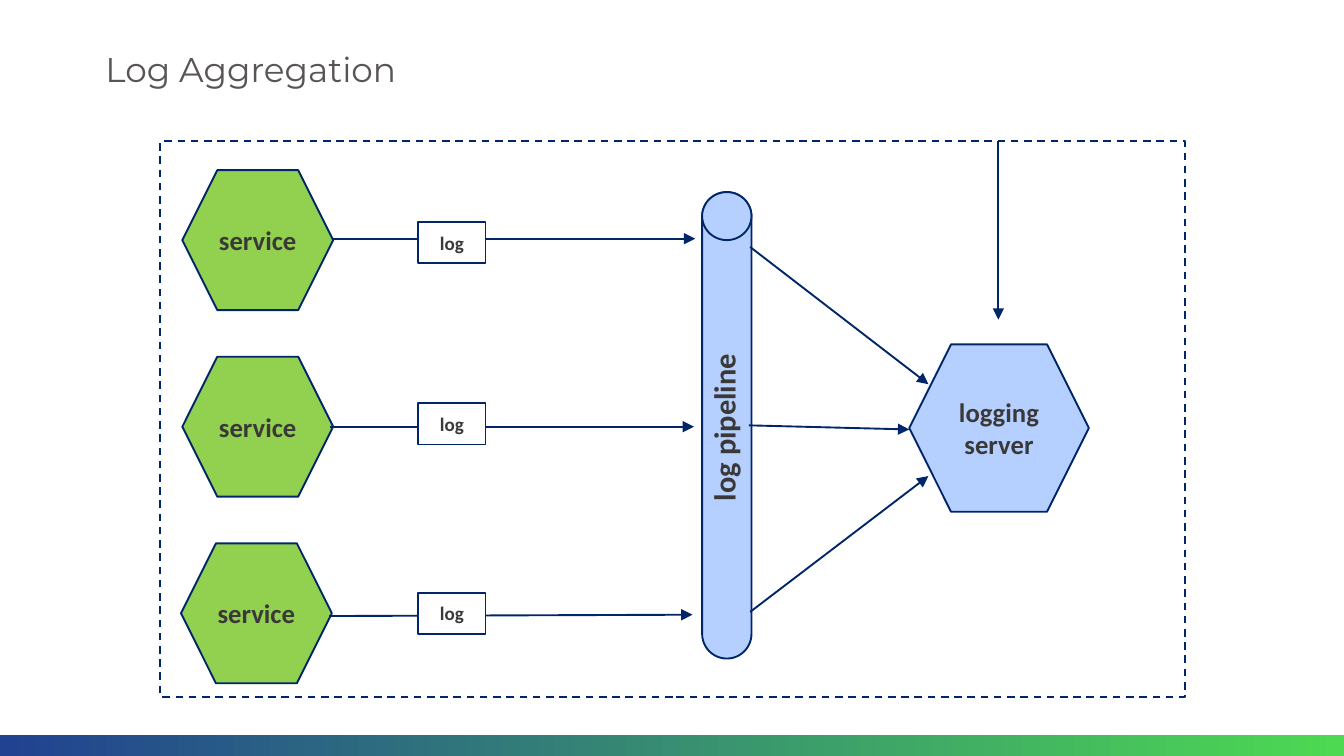
from lxml import etree
from pptx import Presentation
from pptx.dml.color import RGBColor
from pptx.enum.dml import MSO_LINE
from pptx.enum.shapes import MSO_CONNECTOR, MSO_SHAPE
from pptx.enum.text import MSO_ANCHOR, PP_ALIGN
from pptx.oxml.ns import qn
from pptx.util import Inches, Pt

RECTANGLE, HEXAGON = MSO_SHAPE.RECTANGLE, MSO_SHAPE.HEXAGON
ROUNDED, OVAL = MSO_SHAPE.ROUNDED_RECTANGLE, MSO_SHAPE.OVAL
STRAIGHT, DASH = MSO_CONNECTOR.STRAIGHT, MSO_LINE.DASH
LEFT, CENTER, MIDDLE = PP_ALIGN.LEFT, PP_ALIGN.CENTER, MSO_ANCHOR.MIDDLE

# Content: colours in hex, lengths in inches
NAVY, BLUE, GREEN, WHITE = "002669", "B5D0FF", "92D050", "FFFFFF"
TITLE_GREY, TEXT_GREY = "595555", "3B3838"
BAR_START, BAR_END = "214291", "4DD952"

TITLE = "Log Aggregation"
SERVER_LINES = ["logging", "server"]
SERVICE_SIZE, LOG_SIZE = (1.1, 1.02), (0.49, 0.3)
SERVICE_TOP, SERVICE_STEP = 1.24, 1.36
LOG_LEFT, ARROW_LENGTH = 3.05, 2.65
# One row per service: hexagon left, log box top, arrow start, arrow rise
ROWS = [
    ("service", "log", 1.33, 1.62, (2.42, 1.74), 0),
    ("service", "log", 1.33, 2.94, (2.41, 3.11), 0),
    ("service", "log", 1.32, 4.32, (2.4, 4.49), 0.01),
]
BOUNDARY = (1.17, 1.03, 7.47, 4.05)
SERVER = (6.63, 2.51, 1.31, 1.22)
PIPELINE = (5.12, 1.4, 0.36, 3.4)
SERVER_ARROWS = [
    ((5.47, 1.8), (6.77, 2.8)),
    ((5.46, 3.1), (6.63, 3.13)),
    ((5.47, 4.46), (6.77, 3.47)),
    ((7.28, BOUNDARY[1]), (7.28, 2.33)),
]

presentation = Presentation()
presentation.slide_width, presentation.slide_height = Inches(9.8), Inches(5.51)
slide = presentation.slides.add_slide(presentation.slide_layouts[6])


def color(value):
    return RGBColor.from_string(value)


def write(shape, *lines, size=14, font="Calibri", fill=TEXT_GREY, bold=True,
          align=CENTER, inset=0, wrap=False):
    frame = shape.text_frame
    frame.word_wrap = wrap
    frame.vertical_anchor = MIDDLE
    frame.margin_left = frame.margin_right = Inches(inset)
    frame.margin_top = frame.margin_bottom = 0
    for index, line in enumerate(lines):
        paragraph = frame.add_paragraph() if index else frame.paragraphs[0]
        paragraph.alignment = align
        run = paragraph.add_run()
        run.text = line
        run.font.name, run.font.size, run.font.bold = font, Pt(size), bold
        run.font.color.rgb = color(fill)


def add_box(kind, box, fill, dash=None):
    shape = slide.shapes.add_shape(kind, *map(Inches, box))
    shape.shadow.inherit = False
    shape.fill.solid()
    shape.fill.fore_color.rgb = color(fill)
    shape.line.color.rgb = color(NAVY)
    shape.line.width = Pt(1)
    if dash:
        shape.line.dash_style = dash
    return shape


def add_text(box, text, rotation=0, **style):
    shape = slide.shapes.add_textbox(*map(Inches, box))
    shape.rotation = rotation
    write(shape, text, **style)


def add_arrow(start, end):
    arrow = slide.shapes.add_connector(STRAIGHT, *map(Inches, start + end))
    arrow.line.color.rgb = color(NAVY)
    arrow.line.width = Pt(1)
    etree.SubElement(arrow.line._get_or_add_ln(), qn("a:tailEnd"), type="triangle")
    etree.SubElement(arrow._element.spPr, qn("a:effectLst"))


# Footer bar and title
bar = slide.shapes.add_shape(RECTANGLE, *map(Inches, (0, 5.36, 9.8, 0.15)))
bar.shadow.inherit = False
bar.line.fill.background()
bar.fill.gradient()
bar.fill.gradient_angle = 0
for stop, value in zip(bar.fill.gradient_stops, (BAR_START, BAR_END)):
    stop.color.rgb = color(value)
add_text((0.67, 0.29, 8.45, 0.43), TITLE, size=18, font="Montserrat",
         fill=TITLE_GREY, bold=False, align=LEFT, inset=0.1, wrap=True)

# Boundary, logging server and pipeline
add_box(RECTANGLE, BOUNDARY, WHITE, dash=DASH)
write(add_box(HEXAGON, SERVER, BLUE), *SERVER_LINES)
pipe = add_box(ROUNDED, PIPELINE, BLUE)
pipe.adjustments[0] = 0.5
add_box(OVAL, PIPELINE[:3] + (0.35,), BLUE)
add_text((4.62, 2.91, 1.31, 0.37), "log pipeline", rotation=270, size=16,
         align=LEFT, inset=0.1)

# Services sending logs to the pipeline
for index, (service, log, left, log_top, start, rise) in enumerate(ROWS):
    top = SERVICE_TOP + index * SERVICE_STEP
    write(add_box(HEXAGON, (left, top) + SERVICE_SIZE, GREEN), service)
    add_arrow(start, (start[0] + ARROW_LENGTH, start[1] - rise))
    write(add_box(RECTANGLE, (LOG_LEFT, log_top) + LOG_SIZE, WHITE), log, size=10)

# Arrows into the logging server
for start, end in SERVER_ARROWS:
    add_arrow(start, end)

presentation.save("out.pptx")
